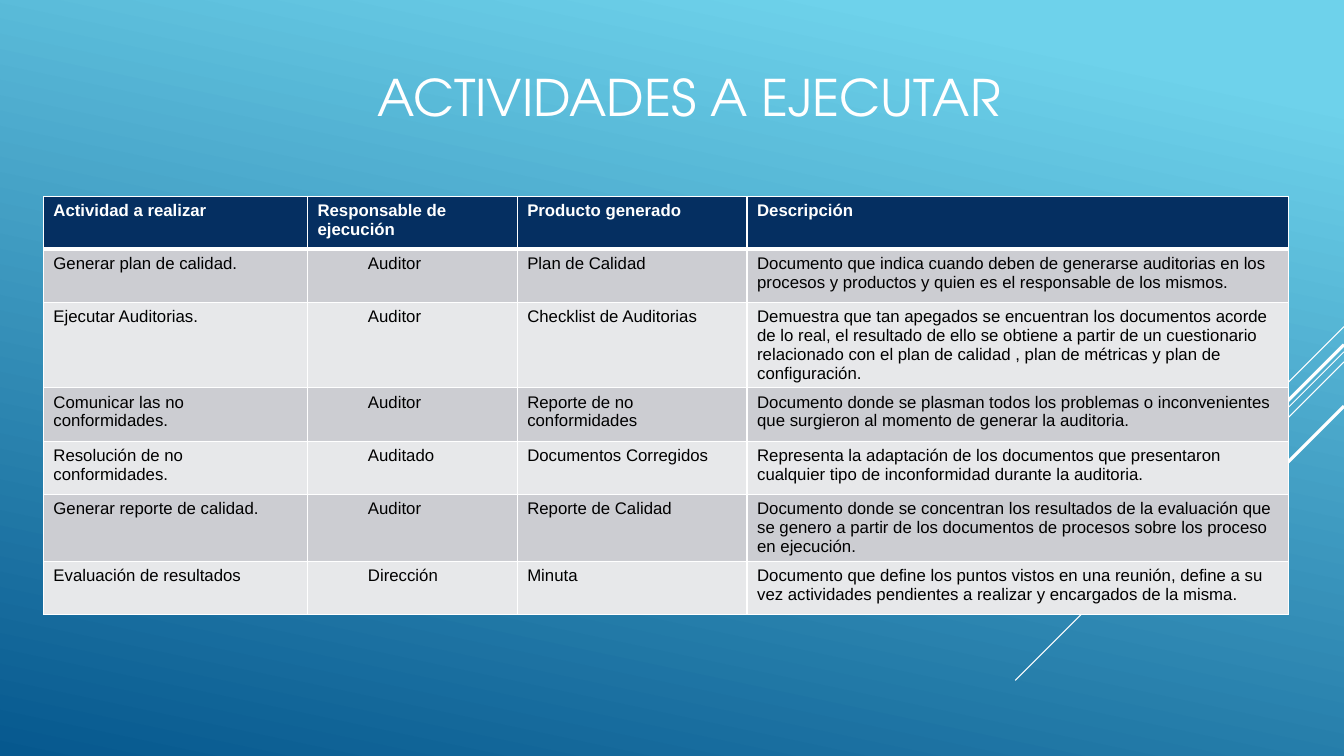
from lxml import etree
from pptx import Presentation
from pptx.dml.color import RGBColor
from pptx.enum.shapes import MSO_CONNECTOR
from pptx.enum.text import MSO_ANCHOR, MSO_AUTO_SIZE, PP_ALIGN
from pptx.oxml.ns import qn
from pptx.util import Inches, Pt

STRAIGHT = MSO_CONNECTOR.STRAIGHT
BOTTOM = MSO_ANCHOR.BOTTOM
CENTER = PP_ALIGN.CENTER
LEFT = PP_ALIGN.LEFT
NO_AUTOFIT = MSO_AUTO_SIZE.NONE

WHITE = RGBColor(0xFF, 0xFF, 0xFF)
BLACK = RGBColor(0x00, 0x00, 0x00)
SKY = RGBColor(0x6E, 0xD2, 0xEB)
DEEP_BLUE = RGBColor(0x06, 0x58, 0x8E)
NAVY = RGBColor(0x05, 0x2F, 0x61)
BANDS = (RGBColor(0xCC, 0xCD, 0xD2), RGBColor(0xE7, 0xE8, 0xEA))

# Diagonal rays: start height at the right edge, run to the left, line width
RIGHT_EDGE = 13.33
RAYS = [
    (3.24, 1.0, 0.75),
    (3.49, 3.26, 0.75),
    (3.59, 2.07, 0.75),
    (3.42, 1.91, 2.25),
    (4.03, 1.39, 2.25),
]

COLUMN_WIDTHS = (2.62, 2.08, 2.28, 5.37)
RESPONSIBLE_COLUMN = 1
ACTIVITIES = [
    ("Actividad a realizar", "Responsable de ejecución", "Producto generado", "Descripción"),
    ("Generar plan de calidad.", "Auditor", "Plan de Calidad",
     "Documento que indica cuando deben de generarse auditorias en los procesos y productos "
     "y quien es el responsable de los mismos."),
    ("Ejecutar Auditorias.", "Auditor", "Checklist de Auditorias",
     "Demuestra que tan apegados se encuentran los documentos acorde de lo real, el resultado "
     "de ello se obtiene a partir de un cuestionario relacionado con el plan de calidad , "
     "plan de métricas y plan de configuración."),
    ("Comunicar las no conformidades.", "Auditor", "Reporte de no conformidades",
     "Documento donde se plasman todos los problemas o inconvenientes que surgieron al "
     "momento de generar la auditoria."),
    ("Resolución de no conformidades.", "Auditado", "Documentos Corregidos",
     "Representa la adaptación de los documentos que presentaron cualquier tipo de "
     "inconformidad durante la auditoria."),
    ("Generar reporte de calidad.", "Auditor", "Reporte de Calidad",
     "Documento donde se concentran los resultados de la evaluación que se genero a partir "
     "de los documentos de procesos sobre los proceso en ejecución."),
    ("Evaluación de resultados", "Dirección", "Minuta",
     "Documento que define los puntos vistos en una reunión, define a su vez actividades "
     "pendientes a realizar y encargados de la misma."),
]


class SlideBuilder:
    """Holds the fonts and the current slide."""

    title_font = "TeX Gyre Adventor"
    body_font = "Arial"

    def __init__(self, slide):
        self.slide = slide

    def background(self):
        fill = self.slide.background.fill
        fill.gradient()
        fill.gradient_angle = 258
        stops = ((0.1, SKY), (1.0, DEEP_BLUE))
        for stop, (position, color) in zip(fill.gradient_stops, stops):
            stop.position = position
            stop.color.rgb = color

    def ray(self, top, run, width):
        connector = self.slide.shapes.add_connector(
            STRAIGHT, Inches(RIGHT_EDGE), Inches(top),
            Inches(RIGHT_EDGE - run), Inches(top + run))
        connector.line.color.rgb = WHITE
        connector.line.width = Pt(width)
        etree.SubElement(connector._element.spPr, qn("a:effectLst"))

    def add_text(self, paragraph, text, font_name, size, color, bold=False):
        run = paragraph.add_run()
        run.text = text
        font = run.font
        font.name, font.size, font.bold = font_name, Pt(size), bold
        font.color.rgb = color

    def title(self, text):
        title = self.slide.shapes.title
        title.left, title.top = Inches(2.17), Inches(0.18)
        title.width, title.height = Inches(9.33), Inches(1.13)
        frame = title.text_frame
        frame.word_wrap = True
        frame.auto_size = NO_AUTOFIT
        frame.vertical_anchor = BOTTOM
        paragraph = frame.paragraphs[0]
        paragraph.alignment = CENTER
        self.add_text(paragraph, text, self.title_font, 36, WHITE)

    def borders(self, cell, bottom_width):
        properties = cell._tc.get_or_add_tcPr()
        widths = {"a:lnL": 1, "a:lnR": 1, "a:lnT": 1, "a:lnB": bottom_width}
        for index, (tag, width) in enumerate(widths.items()):
            border = etree.Element(qn(tag), w=str(Pt(width)))
            fill = etree.SubElement(border, qn("a:solidFill"))
            etree.SubElement(fill, qn("a:srgbClr"), val=str(WHITE))
            properties.insert(index, border)

    def cell(self, cell, text, row, column):
        header = row == 0
        cell.fill.solid()
        cell.fill.fore_color.rgb = NAVY if header else BANDS[(row - 1) % 2]
        self.borders(cell, 3 if header else 1)
        paragraph = cell.text_frame.paragraphs[0]
        paragraph.alignment = LEFT
        if column == RESPONSIBLE_COLUMN and not header:
            paragraph.level = 1
            properties = paragraph._p.get_or_add_pPr()
            properties.set("marL", str(Inches(0.5)))
            properties.set("indent", "0")
        self.add_text(paragraph, text, self.body_font, 12, WHITE if header else BLACK, header)

    def table(self, rows):
        table = self.slide.shapes.add_table(
            len(rows), len(COLUMN_WIDTHS), Inches(0.43), Inches(1.95),
            Inches(sum(COLUMN_WIDTHS)), Inches(0.53 * len(rows))).table
        for column, width in zip(table.columns, COLUMN_WIDTHS):
            column.width = Inches(width)
        table.rows[0].height = Inches(0.52)
        for row, texts in enumerate(rows):
            for column, text in enumerate(texts):
                self.cell(table.cell(row, column), text, row, column)


def main():
    presentation = Presentation()
    presentation.slide_width = Inches(13.33)
    presentation.slide_height = Inches(7.5)
    title_only = presentation.slide_layouts[5]
    builder = SlideBuilder(presentation.slides.add_slide(title_only))

    # Backdrop
    builder.background()
    for ray in RAYS:
        builder.ray(*ray)

    # Content; the table stays in front of the rays
    builder.title("ACTIVIDADES A EJECUTAR")
    builder.table(ACTIVITIES)

    presentation.save("out.pptx")


if __name__ == "__main__":
    main()
